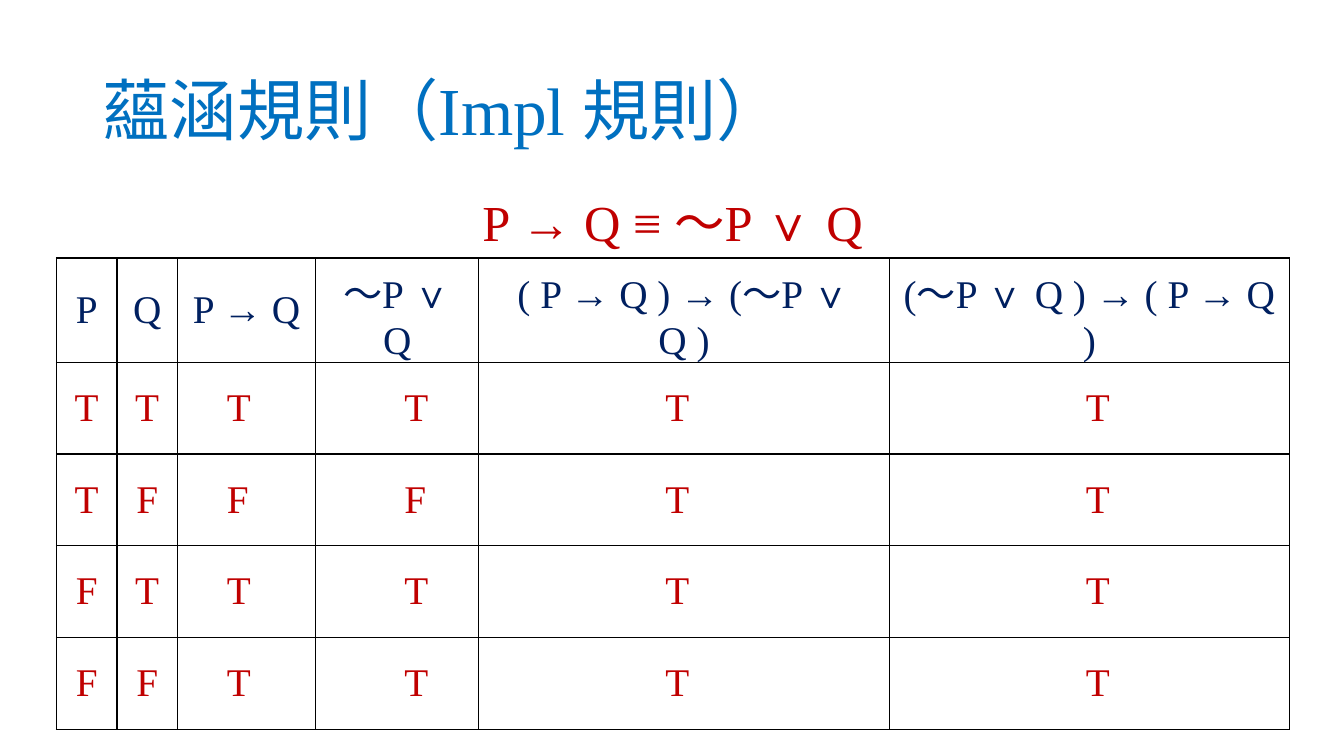
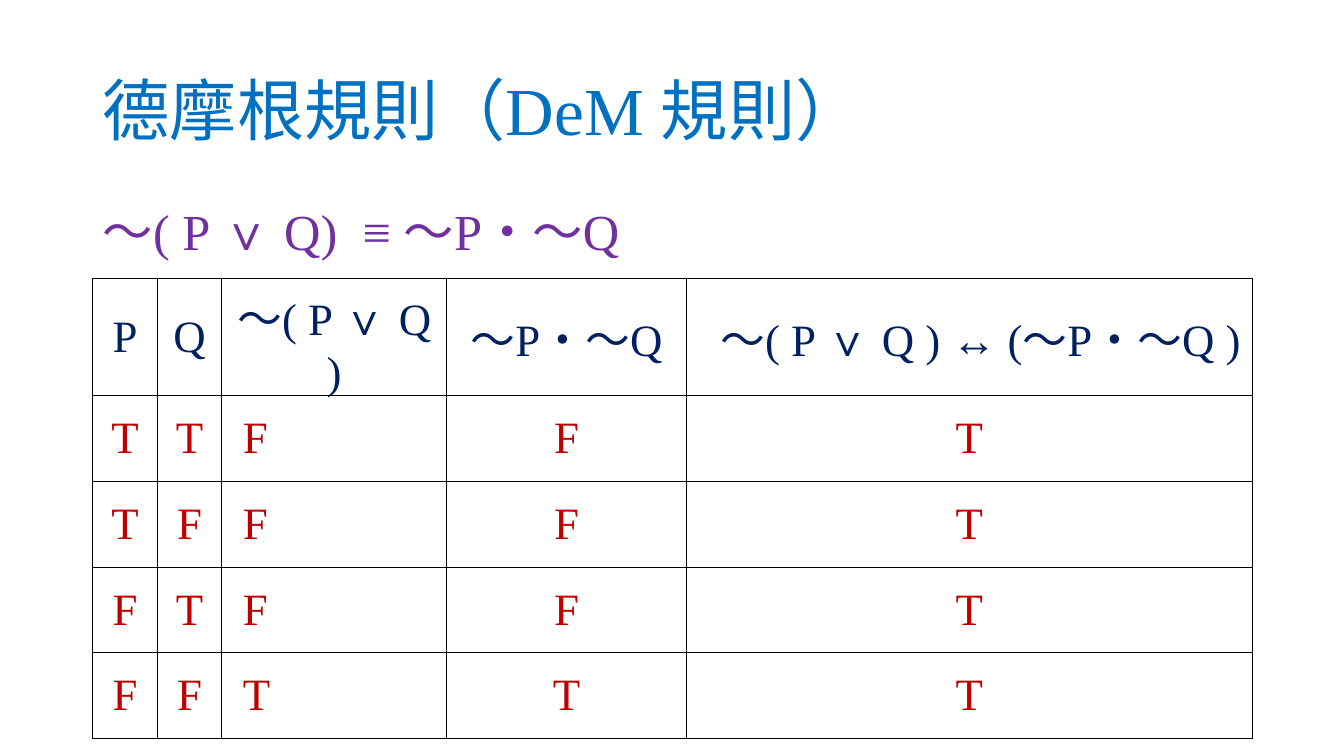
"""Build two slides that prove logic rules with truth tables."""

import dataclasses
import itertools
import typing

import lxml.etree
import pptx
import pptx.dml.color
import pptx.enum.lang
import pptx.enum.text
import pptx.oxml.ns
import pptx.util

Inches = pptx.util.Inches
Align = pptx.enum.text.PP_ALIGN
Anchor = pptx.enum.text.MSO_ANCHOR
COLORS = {
    "title": "0070C0",
    "head": "002060",
    "value": "C00000",
    "claim": "7030A0",
    "line": "000000",
}
FONT = "Times New Roman"
TILDE = "～"
Box = tuple[float, float, float, float]


@dataclasses.dataclass(frozen=True)
class Column:
    """A table column; a pad sets its values left at that inset."""

    head: str
    width: float
    pad: float | None = None
    indent: float = 0


@dataclasses.dataclass(frozen=True)
class Rule:
    """One slide: a title, a formula and its truth table."""

    title: str
    claim: str
    color: str
    box: Box
    align: Align
    scale: float
    claim_tilde: str
    head_tilde: str
    left: float
    top: float
    height: float
    size: int
    columns: tuple[Column, ...]
    rows: tuple[str, ...]


RULES = (
    Rule(
        title="蘊涵規則（Impl 規則）",
        claim="P → Q ≡ ～P ∨ Q",
        color="value",
        box=(4.1, 1.85, 5.14, 0.71),
        align=Align.CENTER,
        scale=1,
        claim_tilde="Calibri",
        head_tilde=FONT,
        left=0.56,
        top=2.56,
        height=0.91,
        size=28,
        columns=(
            Column("P", 0.6),
            Column("Q", 0.6),
            Column("P → Q", 1.37, pad=0.49),
            Column("～P ∨ Q", 1.62, pad=0.88),
            Column("( P → Q ) → (～P ∨ Q )", 4.07, pad=1.85),
            Column("(～P ∨ Q ) → ( P → Q )", 3.97, pad=1.95),
        ),
        rows=("TTTTTT", "TFFFTT", "FTTTTT", "FFTTTT"),
    ),
    Rule(
        title="德摩根規則（DeM 規則）",
        claim="～( P ∨ Q)  ≡ ～P・～Q",
        color="claim",
        box=(0.92, 2, 11.5, 0.76),
        align=Align.LEFT,
        scale=0.9,
        claim_tilde=FONT,
        head_tilde="Calibri",
        left=0.92,
        top=2.76,
        height=0.85,
        size=32,
        columns=(
            Column("P", 0.64),
            Column("Q", 0.64),
            Column("～( P ∨ Q )", 2.23, pad=0.21),
            Column("～P・～Q", 2.38),
            Column("～( P ∨ Q ) ↔︎ (～P・～Q ) ", 5.61, indent=0.22),
        ),
        rows=("TTFFT", "TFFFT", "FTFFT", "FFTTT"),
    ),
)


def write(
    frame: typing.Any,
    text: str,
    *,
    size: int,
    color: str,
    align: Align = Align.LEFT,
    scale: float = 1,
    tilde: str = FONT,
    indent: float = 0,
) -> None:
    """Write one paragraph, with the tilde in a font of its own."""
    para = frame.paragraphs[0]
    para.alignment = align
    para.line_spacing = scale
    if indent:
        para._p.get_or_add_pPr().set("indent", str(Inches(indent)))
    for marked, chars in itertools.groupby(text, lambda char: char == TILDE):
        run = para.add_run()
        run.text = "".join(chars)
        font = run.font
        font.name = tilde if marked else FONT
        font.size = pptx.util.Pt(size)
        font.language_id = pptx.enum.lang.MSO_LANGUAGE_ID.TRADITIONAL_CHINESE
        font.color.rgb = pptx.dml.color.RGBColor.from_string(COLORS[color])


def add_text(slide: typing.Any, box: Box, text: str, anchor: Anchor, **style: typing.Any) -> None:
    """Add a wrapped text box."""
    frame = slide.shapes.add_textbox(*map(Inches, box)).text_frame
    frame.word_wrap = True
    frame.vertical_anchor = anchor
    write(frame, text, **style)


def frame_cell(cell: typing.Any) -> None:
    """Give a cell thin borders and no fill."""
    qn = pptx.oxml.ns.qn
    props = cell._tc.get_or_add_tcPr()
    for side in ("lnL", "lnR", "lnT", "lnB"):
        line = lxml.etree.SubElement(props, qn(f"a:{side}"), w=str(pptx.util.Pt(1)))
        fill = lxml.etree.SubElement(line, qn("a:solidFill"))
        lxml.etree.SubElement(fill, qn("a:srgbClr"), val=COLORS["line"])
    cell.fill.background()
    cell.vertical_anchor = Anchor.MIDDLE


def add_table(slide: typing.Any, rule: Rule) -> None:
    """Add the truth table of a rule."""
    count = len(rule.rows) + 1
    width = sum(column.width for column in rule.columns)
    place = map(Inches, (rule.left, rule.top, width, count * rule.height))
    table = slide.shapes.add_table(count, len(rule.columns), *place).table
    table.first_row = table.horz_banding = False
    for row in table.rows:
        row.height = Inches(rule.height)
    for col, column in enumerate(rule.columns):
        table.columns[col].width = Inches(column.width)
        head = table.cell(0, col)
        frame_cell(head)
        write(head.text_frame, column.head, size=rule.size, color="head",
              align=Align.CENTER, tilde=rule.head_tilde, indent=column.indent)
        for index, values in enumerate(rule.rows, 1):
            cell = table.cell(index, col)
            frame_cell(cell)
            if column.pad is not None:
                cell.margin_left = Inches(column.pad)
            align = Align.CENTER if column.pad is None else Align.LEFT
            write(cell.text_frame, values[col], size=rule.size, color="value", align=align)


def main() -> None:
    """Build and save the deck."""
    deck = pptx.Presentation()
    deck.slide_width, deck.slide_height = Inches(13.33), Inches(7.5)
    for rule in RULES:
        slide = deck.slides.add_slide(deck.slide_layouts[6])
        add_text(slide, (0.92, 0.4, 11.5, 1.45), rule.title, Anchor.MIDDLE,
                 size=48, color="title", scale=0.9)
        add_text(slide, rule.box, rule.claim, Anchor.TOP, size=36, color=rule.color,
                 align=rule.align, scale=rule.scale, tilde=rule.claim_tilde)
        add_table(slide, rule)
    deck.save("out.pptx")


if __name__ == "__main__":
    main()
